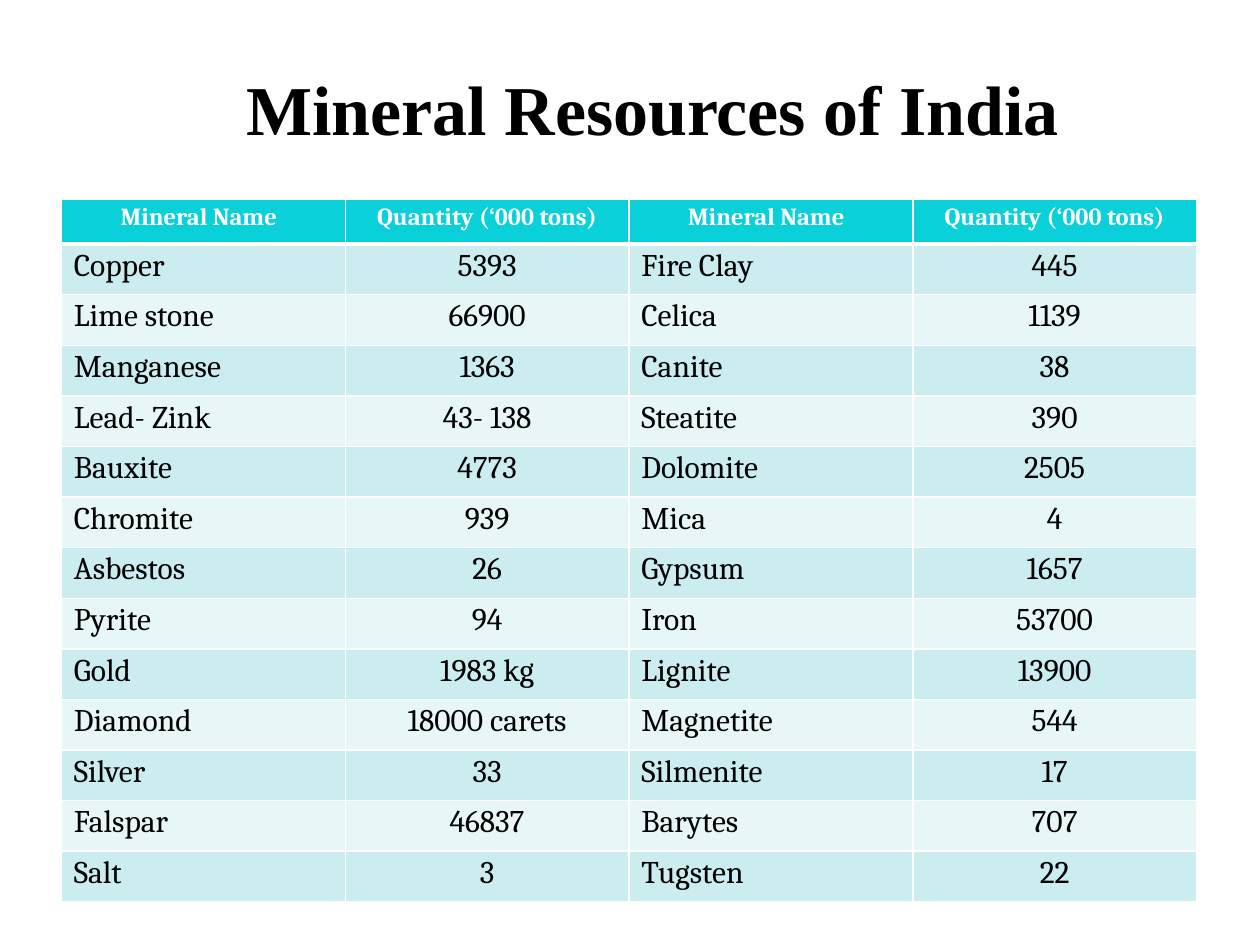
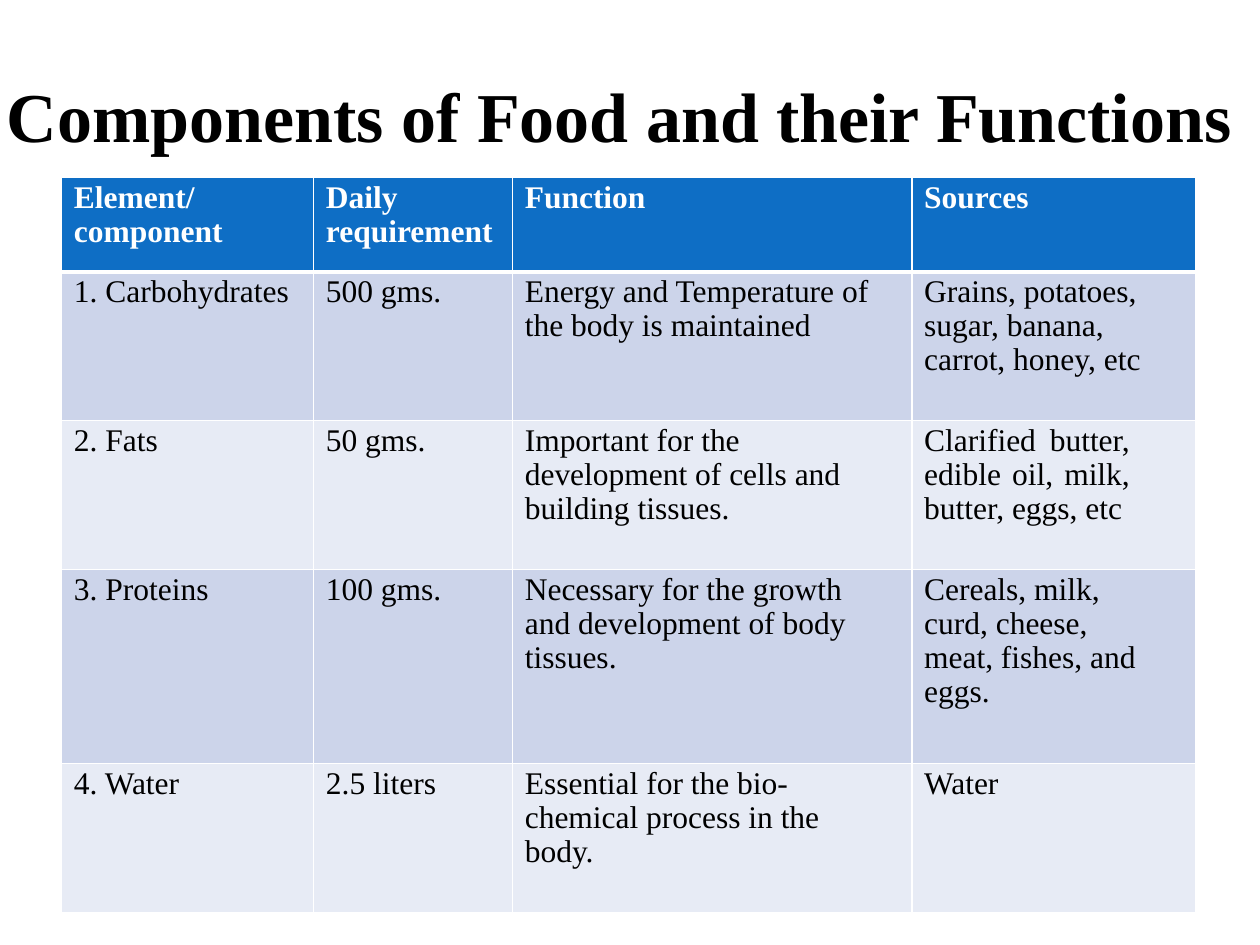
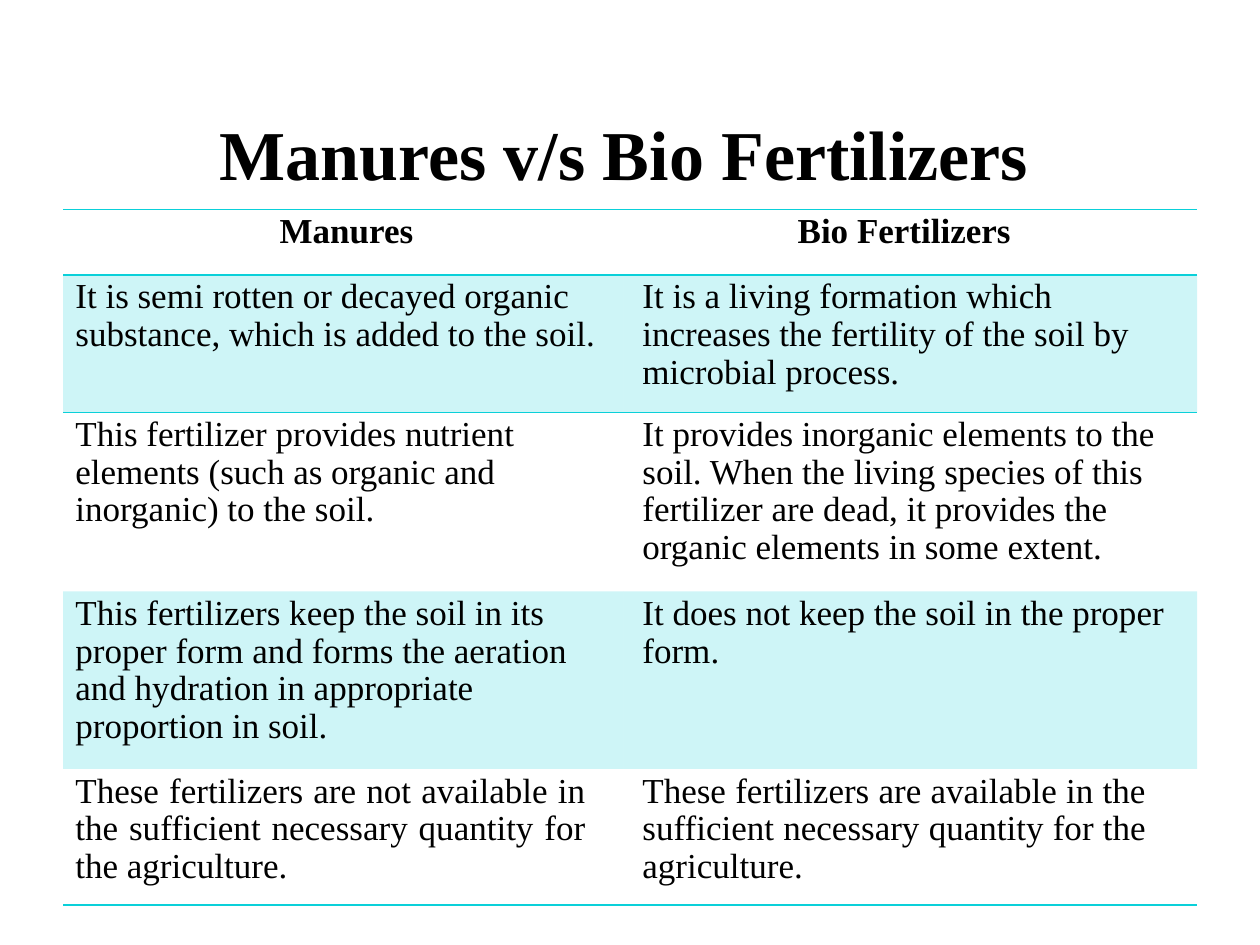
from lxml import etree
from pptx import Presentation
from pptx.dml.color import RGBColor
from pptx.enum.text import MSO_ANCHOR, PP_ALIGN
from pptx.oxml.ns import qn
from pptx.util import Cm, Pt

LEFT, CENTER, JUSTIFY = PP_ALIGN.LEFT, PP_ALIGN.CENTER, PP_ALIGN.JUSTIFY
MIDDLE = MSO_ANCHOR.MIDDLE

BLACK = RGBColor(0x00, 0x00, 0x00)
WHITE = RGBColor(0xFF, 0xFF, 0xFF)
TEAL = RGBColor(0x0A, 0xD0, 0xD9)
TEAL_BANDS = (RGBColor(0xCC, 0xED, 0xF0), RGBColor(0xE7, 0xF7, 0xF8))
BLUE = RGBColor(0x0E, 0x6E, 0xC5)
BLUE_BANDS = (RGBColor(0xCC, 0xD4, 0xEA), RGBColor(0xE7, 0xEB, 0xF5))

SERIF = "Times New Roman"
CAMBRIA = "Cambria"
NO_STYLE = "{2D5ABB26-0587-4C30-8999-92F81FD0307C}"
LINE_SPACING = 0.97

MINERALS = [
    ("Mineral Name", "Quantity (‘000 tons)") * 2,
    ("Copper", "5393", "Fire Clay", "445"),
    ("Lime stone", "66900", "Celica", "1139"),
    ("Manganese", "1363", "Canite", "38"),
    ("Lead- Zink", "43- 138", "Steatite", "390"),
    ("Bauxite", "4773", "Dolomite", "2505"),
    ("Chromite", "939", "Mica", "4"),
    ("Asbestos", "26", "Gypsum", "1657"),
    ("Pyrite", "94", "Iron", "53700"),
    ("Gold", "1983 kg", "Lignite", "13900"),
    ("Diamond", "18000 carets", "Magnetite", "544"),
    ("Silver", "33", "Silmenite", "17"),
    ("Falspar", "46837", "Barytes", "707"),
    ("Salt", "3", "Tugsten", "22"),
]
FOODS = [
    ("Element/ component", "Daily requirement", "Function", "Sources"),
    ("1. Carbohydrates", "500 gms.",
     "Energy and Temperature of the body is maintained",
     "Grains, potatoes, sugar, banana, carrot, honey, etc"),
    ("2. Fats", "50 gms.",
     "Important for the development of cells and building tissues.",
     "Clarified butter, edible oil, milk, butter, eggs, etc"),
    ("3. Proteins", "100 gms.",
     "Necessary for the growth and development of body tissues.",
     "Cereals, milk, curd, cheese, meat, fishes, and eggs."),
    ("4. Water", "2.5 liters",
     "Essential for the bio-chemical process in the body.", "Water"),
]
FERTILIZERS = [
    ("Manures", "Bio Fertilizers"),
    ("It is semi rotten or decayed organic substance, which is added to the soil.",
     "It is a living formation which increases the fertility of the soil by "
     "microbial process."),
    ("This fertilizer provides nutrient elements (such as organic and inorganic) "
     "to the soil.",
     "It provides inorganic elements to the soil. When the living species of this "
     "fertilizer are dead, it provides the organic elements in some extent."),
    ("This fertilizers keep the soil in its proper form and forms the aeration "
     "and hydration in appropriate proportion in soil.",
     "It does not keep the soil in the proper\nform."),
    ("These fertilizers are not available in the sufficient necessary quantity "
     "for the agriculture.",
     "These fertilizers are available in the sufficient necessary quantity for "
     "the agriculture."),
]


def format_text(frame, font_name, size, color, bold, align):
    for para in frame.paragraphs:
        para.alignment = align
        for span in para.runs:
            span.font.name = font_name
            span.font.size = Pt(size)
            span.font.bold = bold
            span.font.color.rgb = color


def add_title(page, text, left, top, width):
    box = page.shapes.add_textbox(Cm(left), Cm(top), Cm(width), Cm(1.75))
    frame = box.text_frame
    frame.word_wrap = True
    frame.vertical_anchor = MIDDLE
    frame.margin_left = frame.margin_right = frame.margin_bottom = 0
    frame.margin_top = Cm(0.03)
    frame.text = text
    format_text(frame, SERIF, 40, BLACK, True, CENTER)


def add_plain_table(page, left, top, widths, heights, rows):
    """Add a table without any style and fill in its texts."""
    frame = page.shapes.add_table(len(heights), len(widths), Cm(left), Cm(top),
                                  Cm(sum(widths)), Cm(sum(heights)))
    table = frame.table
    table.first_row = table.horz_banding = False
    table._tbl.tblPr.find(qn("a:tableStyleId")).text = NO_STYLE
    for column, width in zip(table.columns, widths):
        column.width = Cm(width)
    for row, height, texts in zip(table.rows, heights, rows):
        row.height = Cm(height)
        for cell, text in zip(row.cells, texts):
            cell.text_frame.text = text
    return table


def format_cell(cell, font_name, size, color, bold=False, align=LEFT,
                left=0, right=0, top=0.08):
    cell.margin_left, cell.margin_right = Cm(left), Cm(right)
    cell.margin_top, cell.margin_bottom = Cm(top), 0
    format_text(cell.text_frame, font_name, size, color, bold, align)
    for para in cell.text_frame.paragraphs:
        para.line_spacing = LINE_SPACING


def set_borders(cell, color, **widths):
    """Draw the sides L, R, T and B that are given, widths in points."""
    properties = cell._tc.get_or_add_tcPr()
    for side in "LRTB":
        if side in widths:
            line = etree.SubElement(properties, qn(f"a:ln{side}"),
                                    w=str(Pt(widths[side])))
            fill = etree.SubElement(line, qn("a:solidFill"))
            etree.SubElement(fill, qn("a:srgbClr"), val=str(color))


def fill_cell(cell, color, opacity=100):
    cell.fill.solid()
    cell.fill.fore_color.rgb = color
    if opacity < 100:
        tint = cell._tc.tcPr.find(qn("a:solidFill")).find(qn("a:srgbClr"))
        etree.SubElement(tint, qn("a:alpha"), val=str(opacity * 1000))


def paint_grid(table, header_color, bands):
    """White grid, coloured header and two alternating body colours."""
    for row_number, row in enumerate(table.rows):
        color = bands[(row_number - 1) % 2] if row_number else header_color
        for cell in row.cells:
            set_borders(cell, WHITE, L=1, R=1, T=3 if row_number == 1 else 1,
                        B=1 if row_number else 3)
            fill_cell(cell, color)


def build_minerals(page):
    add_title(page, "Mineral Resources of India", 3.38, 1.27, 19.56)
    heights = [0.91] + [1.02] * (len(MINERALS) - 1)
    table = add_plain_table(page, 1.24, 4.01, [5.72] * 4, heights, MINERALS)
    paint_grid(table, TEAL, TEAL_BANDS)
    for row_number, row in enumerate(table.rows):
        for column_number, cell in enumerate(row.cells):
            is_quantity = column_number % 2
            align = CENTER if is_quantity else LEFT
            if row_number == 0:
                format_cell(cell, CAMBRIA, 14, WHITE, True, align,
                            left=0 if is_quantity else 1.19, top=0.1)
            else:
                format_cell(cell, CAMBRIA, 18, BLACK, False, align,
                            left=0 if is_quantity else 0.25)


def build_foods(page):
    add_title(page, "Components of Food and their Functions", 0, 1.42, 24.97)
    table = add_plain_table(page, 1.24, 3.58, [5.08, 4.01, 8.05, 5.72],
                            [1.9, 3, 3, 3.91, 3], FOODS)
    paint_grid(table, BLUE, BLUE_BANDS)
    right_margins = (0, 0, 0.64, 1.02)
    for row_number, row in enumerate(table.rows):
        is_header = row_number == 0
        for cell, right in zip(row.cells, right_margins):
            format_cell(cell, SERIF, 18, WHITE if is_header else BLACK, is_header,
                        left=0.25, right=right)
    format_cell(table.cell(2, 3), SERIF, 18, BLACK, align=JUSTIFY,
                left=0.25, right=1.32)


def build_fertilizers(page):
    add_title(page, "Manures v/s Bio Fertilizers", 1.24, 2.18, 22.68)
    table = add_plain_table(page, 1.27, 4.22, [11.3, 11.56],
                            [1.32, 2.77, 3.61, 3.58, 2.74], FERTILIZERS)
    row_borders = ({"T": 1, "B": 1}, {"T": 1, "B": 0.5}, {}, {}, {"B": 1})
    last = len(FERTILIZERS) - 1
    for row_number, row in enumerate(table.rows):
        manure, bio = row.cells
        for cell in (manure, bio):
            set_borders(cell, TEAL, **row_borders[row_number])
            if row_number % 2:
                fill_cell(cell, TEAL, opacity=20)
        if row_number == 0:
            format_cell(manure, SERIF, 20, BLACK, True, CENTER, left=0.13)
            format_cell(bio, SERIF, 20, BLACK, True, left=3.51)
        else:
            is_last = row_number == last
            align = JUSTIFY if is_last else LEFT
            format_cell(manure, SERIF, 20, BLACK, align=align,
                        left=0.25, right=0.76 if is_last else 0.43)
            format_cell(bio, SERIF, 20, BLACK, align=align,
                        left=0.38, right=1.02 if is_last else 0.51)


def main():
    deck = Presentation()
    deck.slide_width, deck.slide_height = Cm(25.4), Cm(19.05)
    blank = deck.slide_layouts[6]
    for build in (build_minerals, build_foods, build_fertilizers):
        build(deck.slides.add_slide(blank))
    deck.save("out.pptx")


if __name__ == "__main__":
    main()
